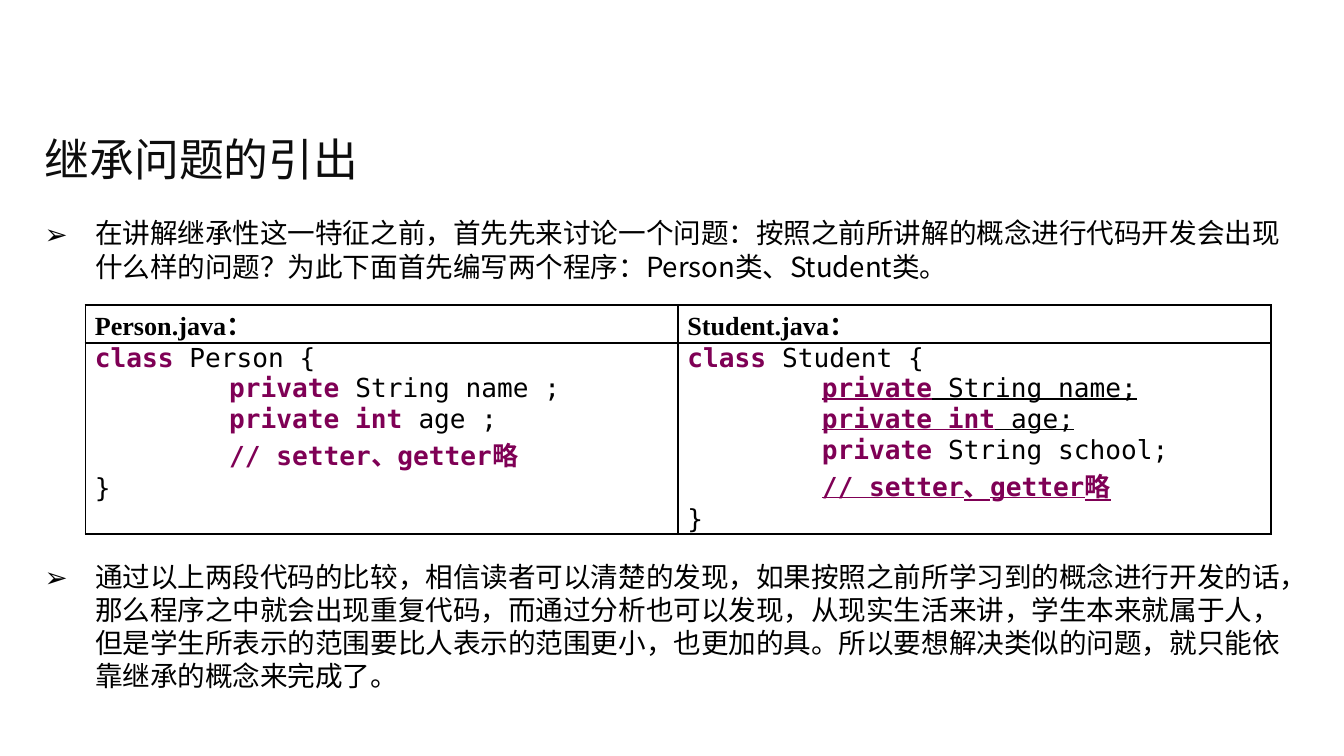
from lxml.etree import SubElement
from pptx import Presentation
from pptx.dml.color import RGBColor
from pptx.enum.text import MSO_ANCHOR, PP_ALIGN
from pptx.oxml import parse_xml
from pptx.oxml.ns import nsdecls, qn
from pptx.util import Pt

COLORS = {"title": "0D0D0D", "text": "000000", "keyword": "7F0055", "border": "000000"}
SANS, SERIF, MONO = "Noto Sans CJK SC", "Times New Roman", "DejaVu Sans Mono"
LEFT, WIDTH = 16.8, 686

INTRO = "在讲解继承性这一特征之前，首先先来讨论一个问题：按照之前所讲解的概念进行代码开发会出现什么样的问题？为此下面首先编写两个程序：Person类、Student类。"
CONCLUSION = (
    "通过以上两段代码的比较，相信读者可以清楚的发现，如果按照之前所学习到的概念进行开发的话，"
    "那么程序之中就会出现重复代码，而通过分析也可以发现，从现实生活来讲，学生本来就属于人，"
    "但是学生所表示的范围要比人表示的范围更小，也更加的具。所以要想解决类似的问题，"
    "就只能依靠继承的概念来完成了。"
)

# Each code line: (indented, underlined, keyword part, plain part)
PROGRAMS = {
    "Person.java：": [
        (False, False, "class", " Person {"),
        (True, False, "private", " String name ;"),
        (True, False, "private int", " age ;"),
        (True, False, "// setter、getter略", ""),
        (False, False, "", "}"),
    ],
    "Student.java：": [
        (False, False, "class", " Student {"),
        (True, True, "private", " String name;"),
        (True, True, "private int", " age;"),
        (True, False, "private", " String school;"),
        (True, True, "// setter、getter略", ""),
        (False, False, "", "}"),
    ],
}


def color(name):
    return RGBColor.from_string(COLORS[name])


def set_font(paragraph, name, size, color_name="text", bold=False):
    """Set the paragraph font, with the sans face for Chinese characters."""
    font = paragraph.font
    font.name, font.size, font.bold = name, Pt(size), bold
    font.color.rgb = color(color_name)
    SubElement(font._element, qn("a:ea")).set("typeface", SANS)


def add_text_box(slide, top, height, text):
    frame = slide.shapes.add_textbox(Pt(LEFT), Pt(top), Pt(WIDTH), Pt(height)).text_frame
    frame.word_wrap = True
    paragraph = frame.paragraphs[0]
    paragraph.text = text
    return frame, paragraph


def add_title(slide, text):
    frame, paragraph = add_text_box(slide, 62, 46, text)
    frame.vertical_anchor = MSO_ANCHOR.MIDDLE
    set_font(paragraph, SANS, 24, "title")


def add_bullet(slide, top, height, text):
    _, paragraph = add_text_box(slide, top, height, text)
    properties = paragraph._p.get_or_add_pPr()
    properties.set("marL", str(Pt(27)))
    properties.set("indent", str(-Pt(27)))
    SubElement(properties, qn("a:buFont")).set("typeface", SANS)
    SubElement(properties, qn("a:buChar")).set("char", "➢")
    set_font(paragraph, SANS, 14.8)


def add_tab_stop(paragraph, position):
    stops = SubElement(paragraph._p.get_or_add_pPr(), qn("a:tabLst"))
    stop = SubElement(stops, qn("a:tab"))
    stop.set("pos", str(Pt(position)))
    stop.set("algn", "l")


def style_cell(cell):
    cell.margin_left = cell.margin_right = Pt(5)
    cell.margin_top = cell.margin_bottom = 0
    cell.fill.background()
    properties = cell._tc.get_or_add_tcPr()
    for position, side in enumerate("LRTB"):
        properties.insert(position, parse_xml(
            f'<a:ln{side} {nsdecls("a")} w="{Pt(1)}"><a:solidFill>'
            f'<a:srgbClr val="{COLORS["border"]}"/></a:solidFill></a:ln{side}>'
        ))


def write_code(frame, lines):
    for number, (indented, underlined, keyword, plain) in enumerate(lines):
        paragraph = frame.add_paragraph() if number else frame.paragraphs[0]
        if indented:
            add_tab_stop(paragraph, 72)
            paragraph.add_run().text = "\t"
        set_font(paragraph, MONO, 14)
        for part, is_keyword in ((keyword, True), (plain, False)):
            if not part:
                continue
            run = paragraph.add_run()
            run.text = part
            if underlined:
                run.font.underline = True
            if is_keyword:
                run.font.bold = True
                run.font.color.rgb = color("keyword")


def add_program_table(slide):
    table = slide.shapes.add_table(2, 2, Pt(45.8), Pt(163.3), Pt(635), Pt(122.7)).table
    table.first_row = table.horz_banding = False
    table.rows[0].height, table.rows[1].height = Pt(20.4), Pt(102.3)
    for column, (file_name, lines) in enumerate(PROGRAMS.items()):
        header, code = table.cell(0, column), table.cell(1, column)
        style_cell(header)
        style_cell(code)
        heading = header.text_frame.paragraphs[0]
        heading.text = file_name
        heading.alignment = PP_ALIGN.JUSTIFY
        set_font(heading, SERIF, 14, bold=True)
        write_code(code.text_frame, lines)


def main():
    presentation = Presentation()
    presentation.slide_width, presentation.slide_height = Pt(720), Pt(405)
    slide = presentation.slides.add_slide(presentation.slide_layouts[6])
    add_title(slide, "继承问题的引出")
    add_bullet(slide, 112.4, 44, INTRO)
    add_program_table(slide)
    add_bullet(slide, 296.2, 80, CONCLUSION)
    presentation.save("out.pptx")


if __name__ == "__main__":
    main()
